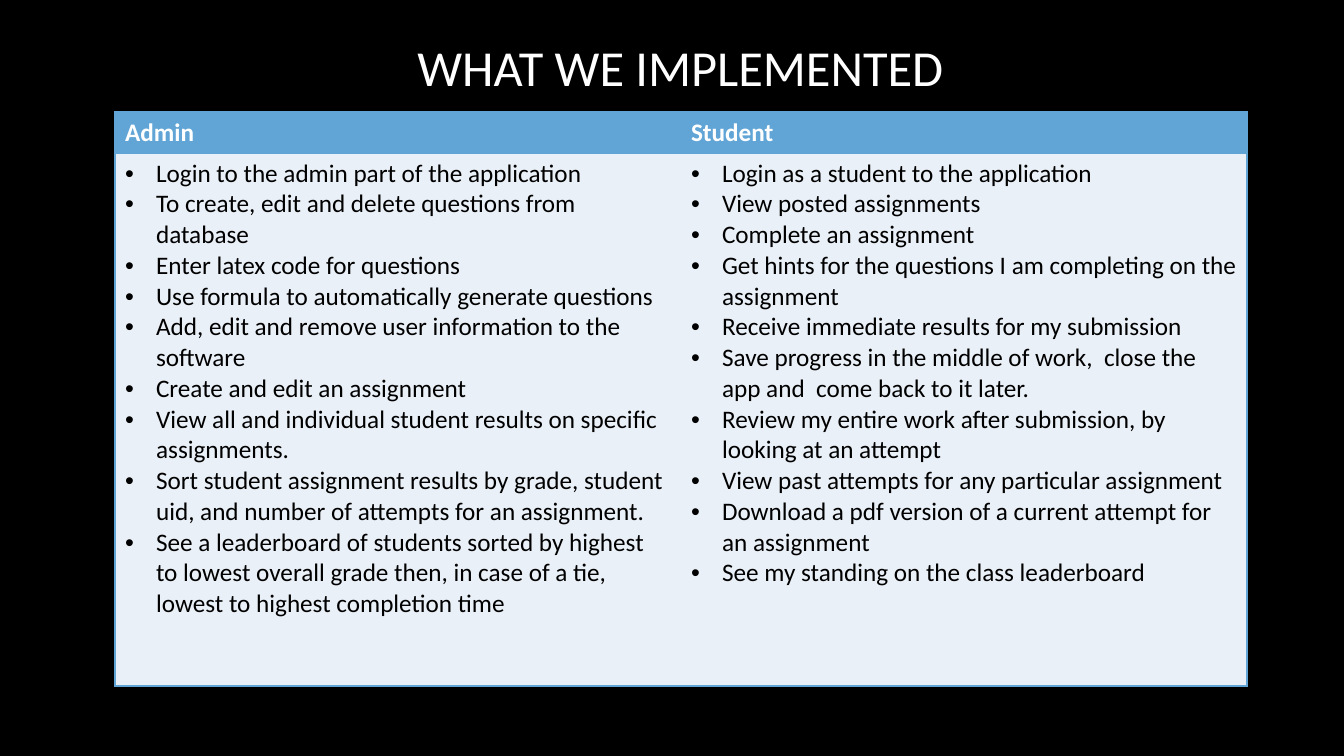
from lxml.etree import SubElement
from pptx import Presentation
from pptx.dml.color import RGBColor
from pptx.enum.text import MSO_ANCHOR, PP_ALIGN
from pptx.oxml.ns import qn
from pptx.util import Emu, Pt

SCALE = 914400 / 100.8
BLACK, WHITE, BLUE, PALE = "000000", "FFFFFF", "61A5D6", "EAF0F7"
TITLE = {"name": "Calibri", "size": Pt(36), "bold": False}
HEAD = {"name": "Calibri", "size": Pt(18), "bold": True}
BODY = {**HEAD, "bold": False}
DUTIES = {
    "Admin": [
        "Login to the admin part of the application",
        "To create, edit and delete questions from database",
        "Enter latex code for questions",
        "Use formula to automatically generate questions",
        "Add, edit and remove user information to the software",
        "Create and edit an assignment",
        "View all and individual student results on specific assignments.",
        "Sort student assignment results by grade, student uid, and number of attempts for an assignment.",
        "See a leaderboard of students sorted by highest to lowest overall grade then, in case of a tie, lowest to highest completion time",
    ],
    "Student": [
        "Login as a student to the application",
        "View posted assignments",
        "Complete an assignment",
        "Get hints for the questions I am completing on the assignment",
        "Receive immediate results for my submission",
        "Save progress in the middle of work,  close the app and  come back to it later.",
        "Review my entire work after submission, by looking at an attempt",
        "View past attempts for any particular assignment",
        "Download a pdf version of a current attempt for an assignment",
        "See my standing on the class leaderboard",
    ],
}


def px(count):
    return Emu(round(count * SCALE))


def paint(fill, color):
    fill.solid()
    fill.fore_color.rgb = RGBColor.from_string(color)


def write(para, text, form, color):
    run = para.add_run()
    run.text = text
    for key, value in form.items():
        setattr(run.font, key, value)
    paint(run.font.fill, color)


def bullet(para):
    props = para._p.get_or_add_pPr()
    props.set("marL", str(px(31)))
    props.set("indent", str(-px(31)))
    SubElement(props, qn("a:buFont"), typeface="Arial")
    SubElement(props, qn("a:buChar"), char="•")


def edge(cell, sides):
    props = cell._tc.get_or_add_tcPr()
    for spot, side in enumerate("LRTB"):
        line = SubElement(props, qn("a:ln" + side), w=str(Pt(1)))
        if side in sides:
            solid = SubElement(line, qn("a:solidFill"))
            SubElement(solid, qn("a:srgbClr"), val=BLUE)
        else:
            SubElement(line, qn("a:noFill"))
        props.insert(spot, line)


def add_title(slide, text, left, top, width, height):
    frame = slide.shapes.add_textbox(px(left), px(top), px(width), px(height)).text_frame
    frame.word_wrap = True
    frame.vertical_anchor = MSO_ANCHOR.TOP
    para = frame.paragraphs[0]
    para.alignment = PP_ALIGN.CENTER
    write(para, text, TITLE, WHITE)


def add_grid(slide, duties, left, top, width, height, head=41):
    size = len(duties)
    table = slide.shapes.add_table(2, size, px(left), px(top), px(width), px(height)).table
    table.rows[0].height = px(head)
    table.rows[1].height = px(height - head)
    for col, (role, tasks) in enumerate(duties.items()):
        table.columns[col].width = px(width / size)
        side = ("L" if col == 0 else "") + ("R" if col == size - 1 else "")
        top_cell, cell = table.cell(0, col), table.cell(1, col)
        for part, color in ((top_cell, BLUE), (cell, PALE)):
            paint(part.fill, color)
            edge(part, side + "TB")
        write(top_cell.text_frame.paragraphs[0], role, HEAD, WHITE)
        frame = cell.text_frame
        for row, task in enumerate(tasks):
            para = frame.add_paragraph() if row else frame.paragraphs[0]
            bullet(para)
            write(para, task, BODY, BLACK)


def main():
    deck = Presentation()
    deck.slide_width, deck.slide_height = px(1344), px(756)
    slide = deck.slides.add_slide(deck.slide_layouts[6])
    paint(slide.background.fill, BLACK)
    add_title(slide, "WHAT WE IMPLEMENTED", 122, 31, 1117, 160)
    add_grid(slide, DUTIES, 115, 112, 1132, 574)
    deck.save("out.pptx")


if __name__ == "__main__":
    main()
